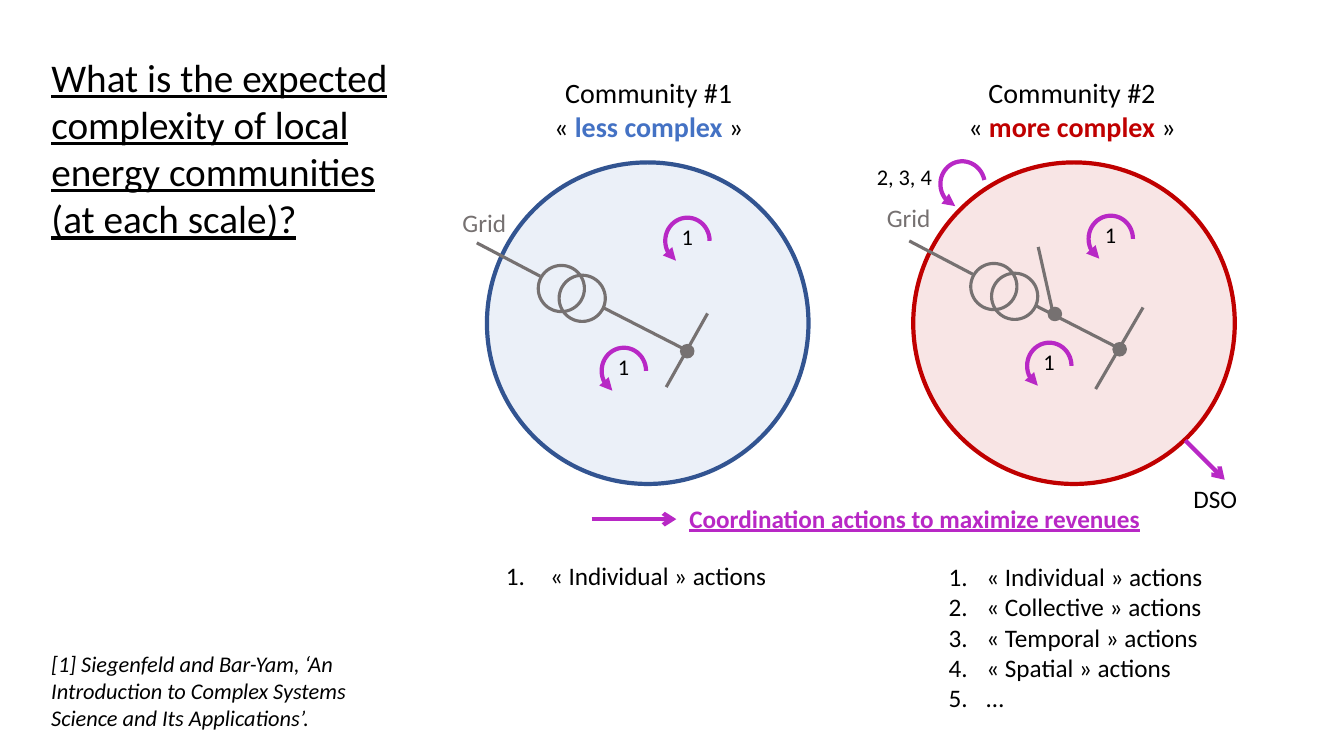
from lxml.etree import SubElement
from pptx import Presentation
from pptx.dml.color import RGBColor
from pptx.enum.shapes import MSO_CONNECTOR, MSO_SHAPE
from pptx.enum.text import MSO_ANCHOR, MSO_AUTO_SIZE, PP_ALIGN
from pptx.oxml.ns import qn
from pptx.util import Pt

COLORS = {
    "black": "000000", "grey": "767171", "purple": "B828C5",
    "blue": "4472C4", "dark blue": "325491", "red": "C00000",
}
RGB = {name: RGBColor.from_string(value) for name, value in COLORS.items()}

prs = Presentation()
prs.slide_width, prs.slide_height = Pt(960), Pt(540)
slide = prs.slides.add_slide(prs.slide_layouts[3])
shapes = slide.shapes


def add_label(text, left, top, width, height, size=18, color="black", wrap=True):
    box = shapes.add_textbox(Pt(left), Pt(top), Pt(width), Pt(height))
    box.text_frame.word_wrap = wrap
    paragraph = box.text_frame.paragraphs[0]
    paragraph.text = text
    paragraph.font.name, paragraph.font.size = "Calibri", Pt(size)
    paragraph.font.color.rgb = RGB[color]
    return paragraph


def add_line(x1, y1, x2, y2, color="grey", width=2.25, arrow=False):
    line = shapes.add_connector(MSO_CONNECTOR.STRAIGHT, Pt(x1), Pt(y1), Pt(x2), Pt(y2))
    line.line.color.rgb, line.line.width = RGB[color], Pt(width)
    if arrow:
        SubElement(line.line._get_or_add_ln(), qn("a:tailEnd"), type="arrow")
    SubElement(line._element.spPr, qn("a:effectLst"))


# Title
title = shapes.title
title.left, title.top, title.width, title.height = Pt(29.5), Pt(34.5), Pt(282), Pt(177)
title.text_frame.text = "What is the expected complexity of local energy communities (at each scale)?"
title.text_frame.vertical_anchor = MSO_ANCHOR.TOP
title.text_frame.auto_size = MSO_AUTO_SIZE.NONE
question = title.text_frame.paragraphs[0]
question.alignment = PP_ALIGN.LEFT
question.font.name, question.font.size = "Calibri", Pt(28)
question.font.underline = True
question.font.color.rgb = RGB["black"]

# Reference
reference = add_label(
    "[1] Siegenfeld and Bar-Yam, ‘An Introduction to Complex Systems Science and Its Applications’.",
    29.5, 461, 240.5, 65.5, size=16)
reference.font.italic = True

# Communities: circle and two-line heading
communities = [
    ("Community #1", "less complex ", "blue", "dark blue", 347.8, 362.2, 202.3),
    ("Community #2", "more complex ", "red", "red", 652.3, 670.3, 190.8),
]
for name, level, color, outline, circle_left, left, width in communities:
    circle = shapes.add_shape(MSO_SHAPE.OVAL, Pt(circle_left), Pt(116), Pt(229.7), Pt(229.7))
    circle.shadow.inherit = False
    circle.fill.solid()
    circle.fill.fore_color.rgb = RGB[color]
    fill_color = circle._element.spPr.find(qn("a:solidFill"))[0]
    SubElement(fill_color, qn("a:alpha"), val="10000")
    circle.line.color.rgb, circle.line.width = RGB[outline], Pt(3)

    heading = shapes.add_textbox(Pt(left), Pt(50.4), Pt(width), Pt(55.4)).text_frame
    heading.word_wrap = True
    heading.text = name
    complexity = heading.add_paragraph()
    for part, part_color in (("« ", "black"), (level, color), ("»", "black")):
        run = complexity.add_run()
        run.text = part
        run.font.bold = part == level
        run.font.color.rgb = RGB[part_color]
    for paragraph in heading.paragraphs:
        paragraph.alignment = PP_ALIGN.CENTER
        paragraph.font.name, paragraph.font.size = "Calibri", Pt(20)

# Grid connection: supply line, transformer and feeder, same in both communities
nodes = [(748.8, 219.6)]
for dx, dy in ((0, 0), (308.9, -1.4)):
    add_line(340.6 + dx, 173.5 + dy, 385.9 + dx, 197.3 + dy)
    for winding in range(2):
        coil = shapes.add_shape(
            MSO_SHAPE.OVAL, Pt(384.5 + dx + 14.9 * winding),
            Pt(189.6 + dy + 7 * winding), Pt(33), Pt(33))
        coil.shadow.inherit = False
        coil.fill.background()
        coil.line.color.rgb, coil.line.width = RGB["grey"], Pt(2.25)
    add_line(430.6 + dx, 219.6 + dy, 489.6 + dx, 249.8 + dy)
    nodes.append((486.2 + dx, 246.2 + dy))

# Branches
add_line(475.9, 276.5, 505.4, 223.9)
add_line(782.6, 277.9, 816.5, 219.6)
add_line(752.4, 224.6, 741.6, 176.4)

for x, y in nodes:
    node = shapes.add_shape(MSO_SHAPE.OVAL, Pt(x), Pt(y), Pt(9.4), Pt(9.4))
    node.shadow.inherit = False
    node.fill.solid()
    node.fill.fore_color.rgb = RGB["grey"]
    node.line.color.rgb, node.line.width = RGB["grey"], Pt(1)

for x, y in ((323.3, 144.7), (626.4, 141.1)):
    add_label("Grid", x, y, 46.1, 28.8, color="grey", wrap=False)

# Coordination loops with the numbers of their actions
loops = [
    ("1", 475.2, 155.5, 0), ("1", 429.8, 248.4, 0),
    ("1", 777.6, 154.1, 0), ("1", 733.7, 244.8, 0),
    ("2, 3, 4", 671.8, 115.2, 348.5),
]
for actions, x, y, rotation in loops:
    loop = shapes.add_shape(MSO_SHAPE.ARC, Pt(x), Pt(y), Pt(31.7), Pt(33.1))
    loop.adjustments[0], loop.adjustments[1] = 71.989, 0
    loop.rotation = rotation
    loop.shadow.inherit = False
    loop.fill.background()
    loop.line.color.rgb, loop.line.width = RGB["purple"], Pt(3)
    SubElement(loop.line._get_or_add_ln(), qn("a:headEnd"), type="triangle")
    if actions == "1":
        add_label(actions, x + 4.5, y + 0.6, 23, 26.6, size=16, wrap=False)
    else:
        add_label(actions, x - 52.6, y - 2.2, 54.7, 26.6, size=16, wrap=False)

# Arrow to the DSO and arrow legend
add_line(846.7, 314.6, 874.8, 342.7, color="purple", width=3, arrow=True)
add_label("DSO", 845.3, 342, 74.2, 28.8)
add_line(422.6, 370.8, 483.1, 370.8, color="purple", width=3, arrow=True)
legend = add_label("Coordination actions to maximize revenues", 485.3, 355.7, 345.6, 28.8,
                   color="purple")
legend.font.bold = legend.font.underline = True

# Numbered actions of each community
action_lists = [
    (["« Individual » actions"], 354.2, 396.7, 202.3, 28.8, 31.5),
    (["« Individual » actions", "« Collective » actions", "« Temporal » actions",
      "« Spatial » actions", "…"], 670.3, 397.4, 198, 116.6, 27),
]
for number, (actions, left, top, width, height, indent) in enumerate(action_lists, 1):
    body = slide.placeholders[number]
    body.left, body.top, body.width, body.height = Pt(left), Pt(top), Pt(width), Pt(height)
    body.text_frame.text = "\n".join(actions)
    body.text_frame.auto_size = MSO_AUTO_SIZE.NONE
    for paragraph in body.text_frame.paragraphs:
        properties = paragraph._p.get_or_add_pPr()
        properties.set("marL", str(Pt(indent)))
        properties.set("indent", str(-Pt(indent)))
        SubElement(properties, qn("a:buFont"), typeface="+mj-lt")
        SubElement(properties, qn("a:buAutoNum"), type="arabicPeriod")
        paragraph.space_before = Pt(0)
        paragraph.font.name, paragraph.font.size = "Calibri", Pt(18)
        paragraph.font.color.rgb = RGB["black"]

prs.save("out.pptx")
